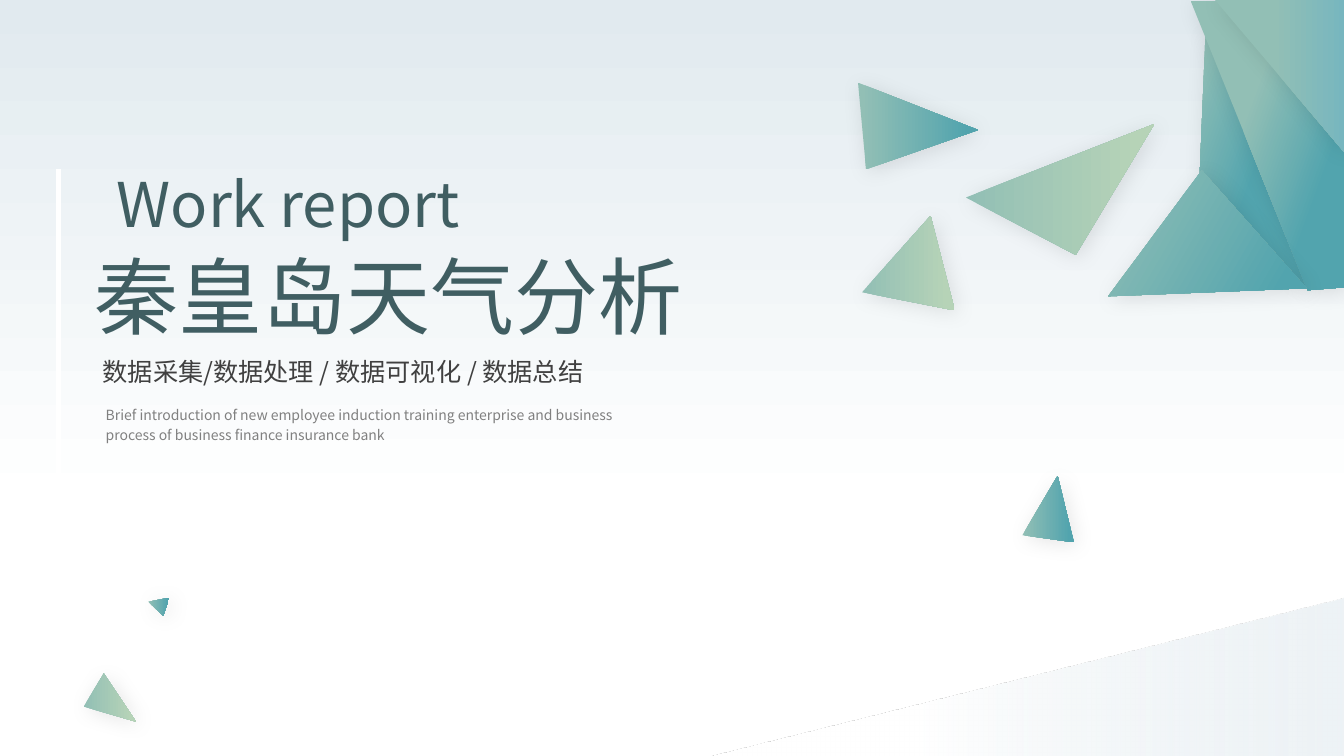
"""Build the cover slide of a weather analysis work report."""
from dataclasses import dataclass, field

from lxml import etree
from pptx import Presentation
from pptx.dml.color import RGBColor
from pptx.enum.shapes import MSO_CONNECTOR, MSO_SHAPE
from pptx.enum.text import MSO_ANCHOR, MSO_AUTO_SIZE, PP_ALIGN
from pptx.oxml.ns import qn
from pptx.util import Inches, Pt

RECTANGLE = MSO_SHAPE.RECTANGLE
TRIANGLE = MSO_SHAPE.ISOSCELES_TRIANGLE
STRAIGHT = MSO_CONNECTOR.STRAIGHT
TOP, MIDDLE = MSO_ANCHOR.TOP, MSO_ANCHOR.MIDDLE
LEFT, CENTER = PP_ALIGN.LEFT, PP_ALIGN.CENTER
FIT_TEXT = MSO_AUTO_SIZE.SHAPE_TO_FIT_TEXT


@dataclass(frozen=True)
class Theme:
    font: str = "Noto Sans CJK SC"
    white: str = "FFFFFF"
    mist: str = "E1EAEF"
    sage: str = "92BFB5"
    teal: str = "52A4AE"
    leaf: str = "B6D3B7"
    sky: str = "77B6BF"
    heading: str = "405E62"
    body: str = "404040"
    muted: str = "808080"
    shadow: str = "000000"
    title_size: int = 60
    label_size: int = 44
    topics_size: int = 18
    note_size: int = 10


THEME = Theme()


@dataclass(frozen=True)
class Gradient:
    start: str
    end: str
    start_pos: int = 0
    end_pos: int = 92
    angle: int = 0
    start_alpha: int = 100


@dataclass(frozen=True)
class Shard:
    points: tuple
    gradient: Gradient


@dataclass(frozen=True)
class Caption:
    text: str
    box: tuple
    size: int
    color: str
    spacing: float = 1.0
    align: PP_ALIGN = LEFT
    frame: dict = field(default_factory=dict)


SIZE = (13.33, 7.5)
PAGE = (0, 0, *SIZE)
PAGE_FADE = Gradient(THEME.mist, THEME.white, 0, 67, 90)
SLOPE_FADE = Gradient(THEME.mist, THEME.white, 0, 67, 180, 57)
CORNER_FADE = Gradient(THEME.sage, THEME.sky, 45, 100)
TEAL_FADE = Gradient(THEME.sage, THEME.teal)
LEAF_FADE = Gradient(THEME.sage, THEME.leaf)

BACK_SHARDS = (
    Shard(((11.9, 1.71), (11.96, 0.25), (12.96, 2.87)),
          Gradient(THEME.sage, THEME.teal, 3, 54, 20)),
    Shard(((11.81, 0.01), (12.97, 2.88), (13.35, 2.85), (13.35, 0.01)),
          Gradient(THEME.sage, THEME.teal, 37, 76, 20)),
)
FLOATING_SHARDS = (
    Shard(((8.59, 1.68), (8.51, 0.82), (9.7, 1.29)),
          Gradient(THEME.sage, THEME.teal, 3)),
    Shard(((8.55, 2.9), (9.23, 2.14), (9.47, 3.08)), LEAF_FADE),
    Shard(((9.58, 1.96), (11.45, 1.23), (10.67, 2.53)), LEAF_FADE),
)
FRONT_SHARDS = (
    Shard(((10.99, 2.94), (11.92, 1.69), (12.96, 2.86)),
          Gradient(THEME.sage, THEME.teal, 3, 89, 30)),
    Shard(((10.14, 5.31), (10.49, 4.72), (10.65, 5.38)), TEAL_FADE),
    Shard(((0.83, 7.01), (1.03, 6.68), (1.35, 7.16)), LEAF_FADE),
    Shard(((1.47, 5.97), (1.68, 5.93), (1.62, 6.11)), TEAL_FADE),
)
LABEL_FRAME = {
    "vertical_anchor": MIDDLE,
    "margin_left": Inches(0.06), "margin_right": Inches(0.06),
    "margin_top": Inches(0.03), "margin_bottom": Inches(0.03),
}
CAPTIONS = (
    Caption("秦皇岛天气分析", (0.84, 2.38, 7.46, 1.11),
            THEME.title_size, THEME.heading),
    Caption("数据采集/数据处理 / 数据可视化 / 数据总结", (0.92, 3.49, 6.17, 0.4),
            THEME.topics_size, THEME.body),
    Caption("Work report", (-0.18, 1.44, 6.08, 0.93),
            THEME.label_size, THEME.heading, 1.3, CENTER, LABEL_FRAME),
    Caption("Brief introduction of new employee induction training enterprise "
            "and business process of business finance insurance bank",
            (0.95, 3.95, 5.55, 0.49), THEME.note_size, THEME.muted, 1.2),
)


def rgb(color: str) -> RGBColor:
    return RGBColor.from_string(color)


def apply(target, values: dict) -> None:
    for name, value in values.items():
        setattr(target, name, value)


def paint(sp, gradient: Gradient) -> None:
    sp.shadow.inherit = False
    sp.line.fill.background()
    sp.fill.gradient()
    sp.fill.gradient_angle = (360 - gradient.angle) % 360
    first, last = sp.fill.gradient_stops
    first.color.rgb, last.color.rgb = rgb(gradient.start), rgb(gradient.end)
    first.position = gradient.start_pos / 100
    last.position = gradient.end_pos / 100
    if gradient.start_alpha < 100:
        color = next(sp._element.spPr.iter(qn("a:srgbClr")))
        etree.SubElement(color, qn("a:alpha"), val=str(gradient.start_alpha * 1000))


def add_shadow(sp) -> None:
    effects = sp._element.spPr.find(qn("a:effectLst"))
    outer = etree.SubElement(effects, qn("a:outerShdw"), blurRad=str(Pt(15)),
                             dist=str(Pt(3)), dir=str(45 * 60000),
                             algn="tl", rotWithShape="0")
    color = etree.SubElement(outer, qn("a:srgbClr"), val=THEME.shadow)
    etree.SubElement(color, qn("a:alpha"), val="10000")


def add_preset(s, kind: MSO_SHAPE, box: tuple, gradient: Gradient):
    sp = s.shapes.add_shape(kind, *map(Inches, box))
    if kind == TRIANGLE:
        sp.adjustments[0] = 1
    paint(sp, gradient)
    return sp


def add_frame(s) -> None:
    sp = s.shapes.add_shape(RECTANGLE, *map(Inches, PAGE))
    sp.shadow.inherit = False
    sp.fill.background()
    sp.line.color.rgb = rgb(THEME.white)
    sp.line.width = Pt(3)


def add_shards(s, shards: tuple) -> None:
    for shard in shards:
        start, *rest = [tuple(map(Inches, point)) for point in shard.points]
        builder = s.shapes.build_freeform(*start)
        builder.add_line_segments(rest, close=True)
        sp = builder.convert_to_shape()
        paint(sp, shard.gradient)
        add_shadow(sp)


def add_caption(s, caption: Caption) -> None:
    tf = s.shapes.add_textbox(*map(Inches, caption.box)).text_frame
    apply(tf, {"word_wrap": True, "auto_size": FIT_TEXT,
               "vertical_anchor": TOP, **caption.frame})
    p = tf.paragraphs[0]
    apply(p, {"alignment": caption.align, "line_spacing": caption.spacing})
    r = p.add_run()
    r.text = caption.text
    apply(r.font, {"name": THEME.font, "size": Pt(caption.size)})
    r.font.color.rgb = rgb(caption.color)
    etree.SubElement(r._r.get_or_add_rPr(), qn("a:ea"), typeface=THEME.font)


def add_side_rule(s) -> None:
    rule = s.shapes.add_connector(STRAIGHT, *map(Inches, (0.58, 1.68, 0.58, 5.03)))
    rule.line.color.rgb = rgb(THEME.white)
    rule.line.width = Pt(3.75)
    etree.SubElement(rule._element.spPr, qn("a:effectLst"))


def main() -> None:
    prs = Presentation()
    prs.slide_width, prs.slide_height = map(Inches, SIZE)
    s = prs.slides.add_slide(prs.slide_layouts[6])
    add_frame(s)
    add_preset(s, RECTANGLE, PAGE, PAGE_FADE)
    add_preset(s, TRIANGLE, (6.98, 5.93, 6.37, 1.58), SLOPE_FADE)
    add_shards(s, BACK_SHARDS)
    for caption in CAPTIONS:
        add_caption(s, caption)
    add_shards(s, FLOATING_SHARDS)
    corner = add_preset(s, TRIANGLE, (12.05, 0, 1.29, 1.52), CORNER_FADE)
    corner._element.spPr.xfrm.set("flipV", "1")
    add_shadow(corner)
    add_shards(s, FRONT_SHARDS)
    add_side_rule(s)
    prs.save("out.pptx")


if __name__ == "__main__":
    main()
